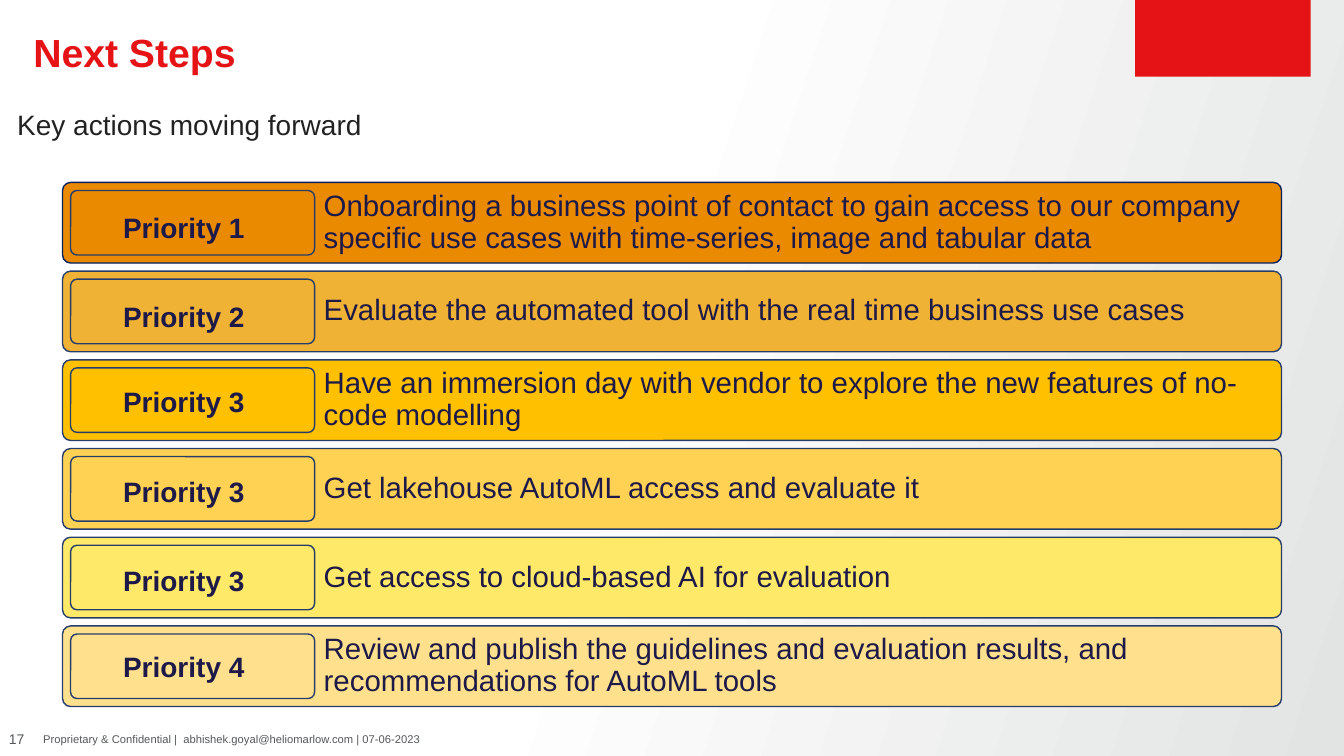
from pptx import Presentation
from pptx.dml.color import RGBColor
from pptx.enum import shapes, text
from pptx.oxml.ns import qn
from pptx.util import Inches, Pt

COLORS = {"red": "E61316", "grey": "545859", "black": "222222", "ink": "1D1948",
          "navy": "002060", "blue": "263D6C", "white": "FFFFFF", "mist": "E2E3E3"}
TITLE = "Next Steps"
LEAD = "Key actions moving forward"
PAGE = "17"
FOOTER = "Proprietary & Confidential | \u00a0abhishek.goyal@heliomarlow.com | 07-06-2023"
# label, label top, bar fill, bar line, action
STEPS = [
    ("Priority 1", 2.02, "EA8A00", "navy",
     "Onboarding a business point of contact to gain access to our company "
     "specific use cases with time-series, image and tabular data"),
    ("Priority 2", 2.91, "F0B234", "blue",
     "Evaluate the automated tool with the real time business use cases"),
    ("Priority 3", 3.75, "FFC000", "blue",
     "Have an immersion day with vendor to explore the new features of "
     "no-code modelling"),
    ("Priority 3", 4.64, "FFD254", "blue",
     "Get lakehouse AutoML access and evaluate it"),
    ("Priority 3", 5.52, "FFE968", "blue",
     "Get access to cloud-based AI for evaluation"),
    ("Priority 4", 6.38, "FFE18D", "blue",
     "Review and publish the guidelines and evaluation results, and "
     "recommendations for AutoML tools"),
]
LEFT, TOP, WIDTH, HEIGHT, PITCH = 0.62, 1.81, 12.09, 0.8, 0.88
PAD, TAG = 0.08, 2.42


def rgb(name):
    return RGBColor.from_string(COLORS.get(name, name))


def write(shape, words, size, color, bold=False, inset=(0, 0), anchor="TOP",
          align="LEFT", line=None, before=None):
    """Fill a shape with one formatted paragraph; inset is (side, top)."""
    frame = shape.text_frame
    frame.word_wrap = True
    frame.auto_size = text.MSO_AUTO_SIZE.NONE
    frame.margin_left = frame.margin_right = Inches(inset[0])
    frame.margin_top = frame.margin_bottom = Inches(inset[1])
    frame.vertical_anchor = getattr(text.MSO_ANCHOR, anchor)
    para = frame.paragraphs[0]
    para.alignment = getattr(text.PP_ALIGN, align)
    if line:
        para.line_spacing = line
    if before is not None:
        para.space_before = Pt(before)
    run = para.add_run()
    run.text = words
    run.font.name = "Arial"
    run.font.size = Pt(size)
    run.font.bold = bold
    run.font.color.rgb = rgb(color)
    return para


def place(shape, *box):
    shape.left, shape.top, shape.width, shape.height = map(Inches, box)
    return shape


def label(slide, box, *args, **style):
    area = slide.shapes.add_textbox(*map(Inches, box))
    return write(area, *args, **style)


def block(slide, kind, box, fill=None, line=None):
    shape = slide.shapes.add_shape(kind, *map(Inches, box))
    shape.shadow.inherit = False
    if fill:
        shape.fill.solid()
        shape.fill.fore_color.rgb = rgb(fill)
    else:
        shape.fill.background()
    if line:
        shape.line.color.rgb = rgb(line)
        shape.line.width = Pt(1)
    else:
        shape.line.fill.background()
    return shape


def bar(slide, box, fill, line):
    shape = block(slide, shapes.MSO_SHAPE.ROUNDED_RECTANGLE, box, fill, line)
    shape.adjustments[0] = 0.1


def paint(slide):
    """Set the slanted white to grey background."""
    fill = slide.background.fill
    fill.gradient()
    fill.gradient_angle = 342
    for stop, spot, name in zip(fill.gradient_stops, (0.45, 1), ("white", "mist")):
        stop.position = spot
        stop.color.rgb = rgb(name)


def main():
    deck = Presentation()
    deck.slide_width, deck.slide_height = Inches(13.33), Inches(7.5)
    slide = deck.slides.add_slide(deck.slide_layouts[1])
    paint(slide)
    block(slide, shapes.MSO_SHAPE.RECTANGLE, (11.26, 0, 1.74, 0.76), "red")

    title, body = slide.placeholders
    write(place(title, 0.33, 0.33, 10.67, 0.42), TITLE, 28, "red", bold=True, line=0.9)
    lead = write(place(body, 0.17, 1, 12.68, 0.42), LEAD, 20, "black",
                 line=1.2, before=0)
    props = lead._p.get_or_add_pPr()
    props.set("marL", "0")
    props.set("indent", "0")
    props.append(props.makeelement(qn("a:buNone"), {}))

    label(slide, (0, 7.17, 0.33, 0.33), PAGE, 10, "grey",
          anchor="MIDDLE", align="CENTER")
    label(slide, (0.33, 7.17, 6.33, 0.33), FOOTER, 8, "grey",
          inset=(0.1, 0.05), anchor="MIDDLE")

    start = LEFT + PAD + TAG
    for row, (name, high, fill, line, action) in enumerate(STEPS):
        top = TOP + row * PITCH
        bar(slide, (LEFT, top, WIDTH, HEIGHT), fill, line)
        label(slide, (start, top, LEFT + WIDTH - start, HEIGHT), action, 21, "ink",
              inset=(0.09, 0.09), anchor="MIDDLE", line=0.9)
        bar(slide, (LEFT + PAD, top + PAD, TAG, HEIGHT - 2 * PAD), None, "blue")
        label(slide, (1.22, high, 1.72, 0.44), name, 20, "ink", bold=True, line=1.2)

    deck.save("out.pptx")


if __name__ == "__main__":
    main()
